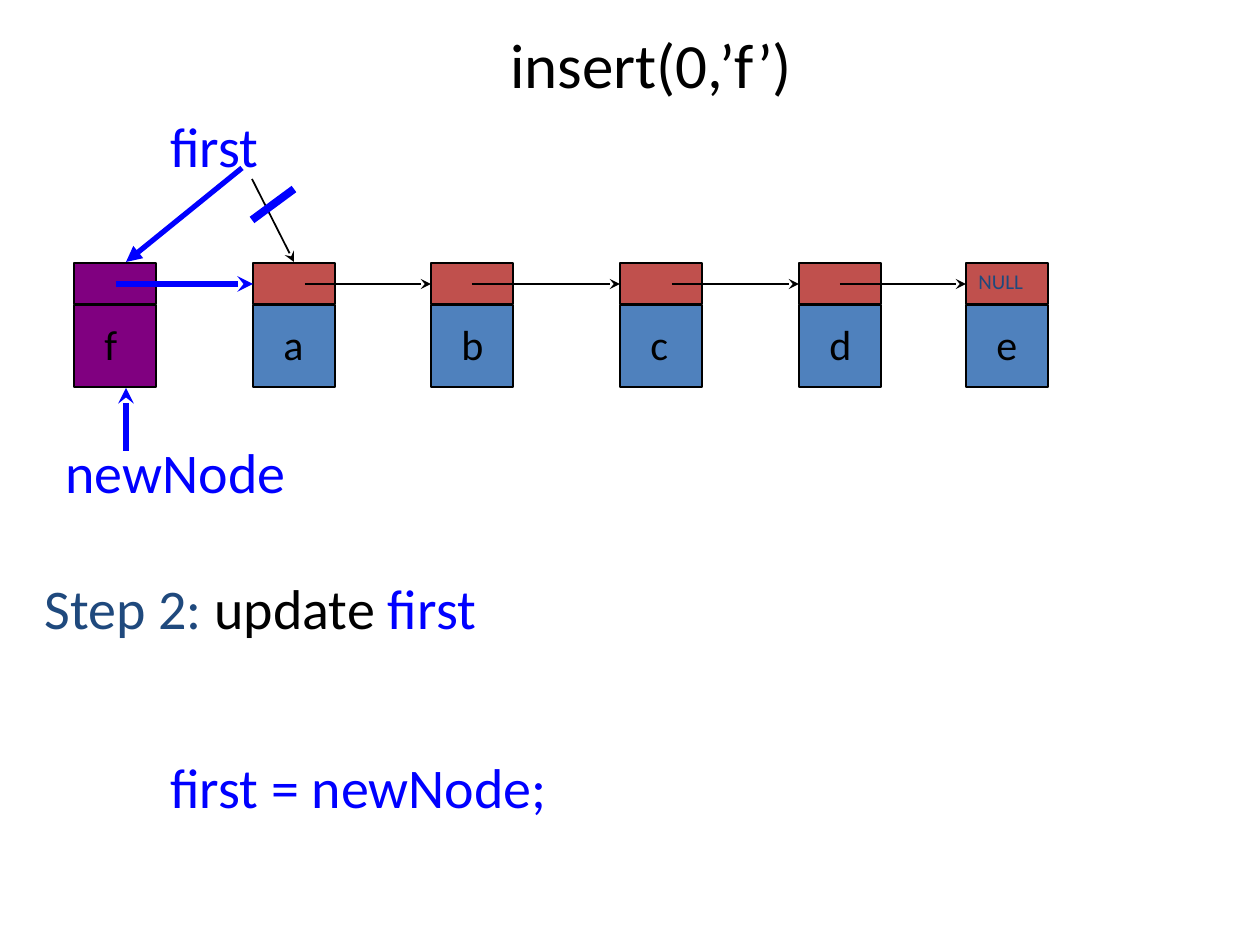
from lxml.etree import SubElement
from pptx import Presentation
from pptx.dml.color import RGBColor
from pptx.enum.shapes import MSO_CONNECTOR, MSO_SHAPE
from pptx.enum.text import MSO_ANCHOR, PP_ALIGN
from pptx.oxml.ns import qn
from pptx.util import Emu, Pt

BLACK = RGBColor(0x00, 0x00, 0x00)
BLUE = RGBColor(0x00, 0x00, 0xFF)
NAVY = RGBColor(0x1F, 0x49, 0x7D)
STEEL = RGBColor(0x4F, 0x81, 0xBD)
RED = RGBColor(0xC0, 0x50, 0x4D)
PURPLE = RGBColor(0x80, 0x00, 0x80)

SLIDE_WIDTH, SLIDE_HEIGHT = 1260, 945
NODE_WIDTH, DATA_HEIGHT, LINK_HEIGHT = 82, 82, 41
LINK_TOP, DATA_TOP, LINK_Y = 263, 305, 284

# letter, left, start of the arrow to the next node, data fill, link fill
NODES = [
    ("f", 74, 116, PURPLE, PURPLE),
    ("a", 253, 305, STEEL, RED),
    ("b", 431, 472, STEEL, RED),
    ("c", 620, 672, STEEL, RED),
    ("d", 799, 840, STEEL, RED),
    ("e", 966, None, STEEL, RED),
]

# left, top, width, height, size, runs
LABELS = [
    (966, 262, 84, 38, 12, [("NULL", NAVY)]),
    (158, 105, 252, 79, 32, [("first", BLUE)]),
    (53, 431, 252, 79, 32, [("newNode", BLUE)]),
    (32, 567, 1187, 142, 32, [("Step 2:", NAVY), (" update ", BLACK), ("first", BLUE)]),
    (158, 746, 1187, 79, 32, [("first = newNode;", BLUE)]),
]

# start, end, colour, width, arrowhead
POINTERS = [
    ((252, 179), (294, 262), BLACK, 1, "stealth"),
    ((126, 451), (126, 388), BLUE, 3, "stealth"),
    ((294, 189), (252, 220), BLUE, 4.5, None),
    ((242, 168), (126, 262), BLUE, 3, "triangle"),
]


def px(value):
    return Emu(round(value * 914400 / 126))


def add_text(slide, left, top, width, height, size, runs, wrap=True):
    box = slide.shapes.add_textbox(px(left), px(top), px(width), px(height))
    frame = box.text_frame
    frame.word_wrap = wrap
    paragraph = frame.paragraphs[0]
    for text, color in runs:
        run = paragraph.add_run()
        run.text = text
        run.font.name = "Calibri"
        run.font.size = Pt(size)
        run.font.color.rgb = color
    return frame


def add_cell(slide, left, top, height, fill):
    cell = slide.shapes.add_shape(
        MSO_SHAPE.RECTANGLE, px(left), px(top), px(NODE_WIDTH), px(height))
    cell.shadow.inherit = False
    cell.fill.solid()
    cell.fill.fore_color.rgb = fill
    cell.line.color.rgb = BLACK
    cell.line.width = Pt(1)


def add_line(slide, start, end, color, width, head):
    line = slide.shapes.add_connector(
        MSO_CONNECTOR.STRAIGHT, *map(px, start + end))
    line.line.color.rgb = color
    line.line.width = Pt(width)
    if head:
        SubElement(line.line._get_or_add_ln(), qn("a:tailEnd"), type=head)
    SubElement(line._element.spPr, qn("a:effectLst"))


def add_nodes(slide):
    for letter, left, _, data_fill, link_fill in NODES:
        add_cell(slide, left, DATA_TOP, DATA_HEIGHT, data_fill)
        add_cell(slide, left, LINK_TOP, LINK_HEIGHT, link_fill)
        add_text(slide, left + 18, 312, 45, 63, 24, [(letter, BLACK)], wrap=False)
    for node, following in zip(NODES, NODES[1:]):
        is_new = node is NODES[0]
        add_line(slide, (node[2], LINK_Y), (following[1], LINK_Y),
                 BLUE if is_new else BLACK, 3 if is_new else 1, "stealth")


def main():
    presentation = Presentation()
    presentation.slide_width = px(SLIDE_WIDTH)
    presentation.slide_height = px(SLIDE_HEIGHT)
    slide = presentation.slides.add_slide(presentation.slide_layouts[6])

    title = add_text(slide, 116, 0, 1071, 126, 36, [("insert(0,’f’)", BLACK)])
    title.vertical_anchor = MSO_ANCHOR.MIDDLE
    title.paragraphs[0].alignment = PP_ALIGN.CENTER

    add_nodes(slide)
    for label in LABELS:
        add_text(slide, *label)
    for pointer in POINTERS:
        add_line(slide, *pointer)
    presentation.save("out.pptx")


if __name__ == "__main__":
    main()
